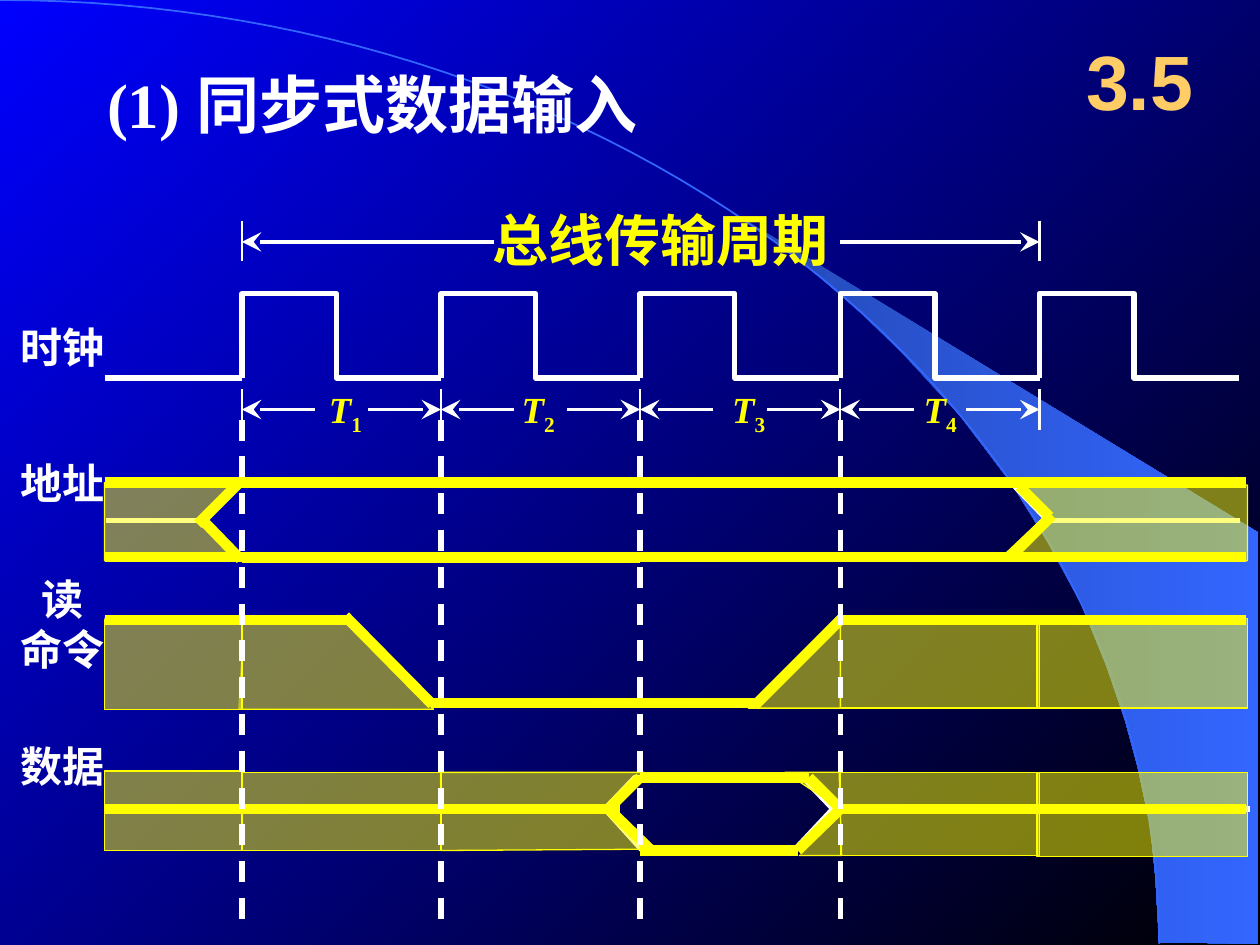
"""Draw the timing chart of a synchronous data input."""
from dataclasses import dataclass, field
from itertools import pairwise
from math import cos, pi, sin

from lxml.etree import SubElement
from pptx import Presentation
from pptx.dml.color import RGBColor
from pptx.enum.dml import MSO_LINE
from pptx.enum.shapes import MSO_CONNECTOR, MSO_SHAPE
from pptx.enum.text import MSO_ANCHOR, PP_ALIGN
from pptx.oxml.ns import qn
from pptx.util import Inches, Pt

WHITE, YELLOW, GOLD, BLUE = "FFFFFF", "FFFF00", "FFCC66", "3366FF"
SERIF, SANS, HAN = "Times New Roman", "Arial", "Noto Sans CJK SC"
TICKS = [1.92, 3.5, 5.08, 6.67, 8.25]
EDGES = [0.83, 1.92, 3.5, 5.08, 6, 6.67, 8.25, 9.89]
Point = tuple[float, float]


@dataclass
class Stroke:
    start: Point
    end: Point
    color: str = WHITE
    width: float = 3
    head: str = ""
    dash: bool = False


@dataclass
class Label:
    box: tuple[float, float, float, float]
    text: str
    size: float
    color: str = WHITE
    font: str = SERIF
    align: PP_ALIGN = PP_ALIGN.LEFT
    anchor: MSO_ANCHOR = MSO_ANCHOR.TOP
    sub: str = ""
    style: dict = field(default_factory=dict)


def paint(target, color: str) -> None:
    target.solid()
    target.fore_color.rgb = RGBColor.from_string(color)


def blend(target, first: str, last: str, angle: float) -> None:
    target.gradient()
    target.gradient_angle = angle
    for stop, color, place in zip(target.gradient_stops, (first, last), (0, 1)):
        stop.color.rgb = RGBColor.from_string(color)
        stop.position = place


def draw(mark: Stroke) -> None:
    ends = [Inches(n) for n in (*mark.start, *mark.end)]
    line = shapes.add_connector(MSO_CONNECTOR.STRAIGHT, *ends)
    paint(line.line.fill, mark.color)
    line.line.width = Pt(mark.width)
    if mark.dash:
        line.line.dash_style = MSO_LINE.DASH
    if mark.head:
        SubElement(line.line._get_or_add_ln(), qn(f"a:{mark.head}"),
                   type="stealth", w="lg", len="lg")
    SubElement(line._element.spPr, qn("a:effectLst"))


def finish(shape, color: str, width: float, filled: bool) -> None:
    shape.shadow.inherit = False
    paint(shape.line.fill, color)
    shape.line.width = Pt(width)
    if filled:
        paint(shape.fill, color)
        tint = shape._element.spPr.find(qn("a:solidFill"))[0]
        SubElement(tint, qn("a:alpha"), val="50000")
    else:
        shape.fill.background()


def trace(points: list[Point], color: str, width: float,
          filled: bool = False, close: bool = False):
    spots = [(Inches(x), Inches(y)) for x, y in points]
    pen = shapes.build_freeform(*spots[0])
    pen.add_line_segments(spots[1:], close=close)
    shape = pen.convert_to_shape()
    finish(shape, color, width, filled)
    return shape


def block(left: float, top: float, right: float, base: float) -> None:
    sides = [Inches(n) for n in (left, top, right - left, base - top)]
    finish(shapes.add_shape(MSO_SHAPE.RECTANGLE, *sides), YELLOW, 0.75, True)


def write(label: Label) -> None:
    frame = shapes.add_textbox(*[Inches(n) for n in label.box]).text_frame
    plain = {"margin_left": 0, "margin_right": 0, "margin_top": 0,
             "margin_bottom": 0, "word_wrap": False,
             "vertical_anchor": label.anchor}
    for key, value in plain.items():
        setattr(frame, key, value)
    for row, text in enumerate(label.text.split("\n")):
        para = frame.add_paragraph() if row else frame.paragraphs[0]
        para.alignment = label.align
        for part in filter(None, (text, label.sub)):
            run = para.add_run()
            run.text = part
            look = {"name": label.font, "size": Pt(label.size), "bold": True,
                    **label.style}
            if part == label.sub:
                look["italic"] = False
                run._r.get_or_add_rPr().set("baseline", "-25000")
            for key, value in look.items():
                setattr(run.font, key, value)
            paint(run.font.fill, label.color)
            SubElement(run._r.get_or_add_rPr(), qn("a:ea"), typeface=HAN)


deck = Presentation()
deck.slide_width, deck.slide_height = Inches(10), Inches(7.5)
slide = deck.slides.add_slide(deck.slide_layouts[6])
shapes = slide.shapes
blend(slide.background.fill, "0000FF", "000000", 315)

wedge = trace([(9.2, 7.48), (9.99, 7.49), (9.99, 4.23), (5.89, 1.73), (6.24, 1.99),
               (6.53, 2.22), (6.85, 2.5), (7.16, 2.8), (7.62, 3.3), (8.03, 3.84),
               (8.32, 4.31), (8.58, 4.79), (8.78, 5.28), (8.93, 5.72), (9.03, 6.09),
               (9.13, 6.56), (9.17, 6.96)], BLUE, 1, close=True)
blend(wedge.fill, "2449B6", BLUE, 0)
wedge.line.fill.background()
turns = [step * pi / 120 for step in range(61)]
trace([(9.2 * sin(turn), 7.49 * (1 - cos(turn))) for turn in turns], BLUE, 1)

for x in TICKS:
    trace([(x, 3), (x, 2.33), (x + 0.75, 2.33), (x + 0.75, 3), (x + 1.58, 3)], WHITE, 3)
    draw(Stroke((x, 3.09), (x, 3.41), width=1.25))
for left, right in pairwise(TICKS):
    draw(Stroke((left, 3.25), (left + 0.58, 3.25), width=2.25, head="headEnd"))
    draw(Stroke((right - 0.58, 3.25), (right, 3.25), width=2.25, head="tailEnd"))
for x in (TICKS[0], TICKS[-1]):
    draw(Stroke((x, 1.75), (x, 2.07), width=1.25))
draw(Stroke((1.92, 1.92), (3.92, 1.92), width=2.25, head="headEnd"))
draw(Stroke((6.67, 1.92), (8.25, 1.92), width=2.25, head="tailEnd"))

trace([(1.91, 3.83), (1.62, 4.13), (1.92, 4.43), (8.02, 4.43), (8.31, 4.13),
       (8.02, 3.83)], WHITE, 2.5, close=True)
trace([(4.8, 6.42), (5.04, 6.17), (6.37, 6.17), (6.61, 6.42), (6.31, 6.74),
       (5.09, 6.74)], WHITE, 3, close=True)
for y, left, right in [(3, 0.83, 1.92), (4.13, 0.84, 1.67), (4.13, 8.33, 9.84),
                       (6.42, 0.83, 4.8), (6.42, 6.61, 9.92)]:
    draw(Stroke((left, y), (right, y)))
trace([(0.83, 4.92), (2.74, 4.92), (3.43, 5.59), (5.99, 5.59), (6.67, 4.92),
       (9.84, 4.92)], WHITE, 3)

for sides in [(0.83, 4.92, 1.92, 5.63), (0.83, 6.12, 1.92, 6.75),
              (1.92, 6.13, 3.5, 6.75), (6.67, 4.92, 8.25, 5.62),
              (6.67, 6.13, 8.25, 6.79), (8.23, 4.91, 9.9, 5.62),
              (8.23, 6.13, 9.9, 6.8)]:
    block(*sides)
for points in [
    [(1.62, 4.17), (1.84, 3.84), (0.83, 3.83), (0.83, 4.45), (1.9, 4.45)],
    [(1.89, 5.63), (3.44, 5.63), (2.76, 4.92), (1.93, 4.94)],
    [(3.49, 6.13), (5.11, 6.13), (4.83, 6.42), (5.11, 6.74), (3.5, 6.75)],
    [(5.94, 5.62), (6.67, 5.62), (6.67, 4.87), (5.94, 5.62)],
    [(6.67, 6.42), (6.23, 6.13), (6.66, 6.13), (6.68, 6.79), (6.34, 6.79)],
    [(8.06, 3.83), (9.9, 3.85), (9.9, 4.45), (7.92, 4.45), (8.31, 4.08)],
]:
    trace(points, YELLOW, 0.75, filled=True)

rails = [(3.83, EDGES), (4.42, EDGES), (4.92, [0.83, 1.92, 2.75]),
         (4.92, EDGES[-3:]), (5.58, [3.42, 5.08, 6]),
         (6.42, [0.83, 1.92, 3.5, 4.92]), (6.42, EDGES[-3:]),
         (6.17, [5.08, 6, 6.42]), (6.75, [5.08, 6, 6.33])]
for y, stops in rails:
    for left, right in pairwise(stops):
        draw(Stroke((left, y), (right, y), YELLOW, 6))
for y in (3.85, 4.45):
    for left, right in pairwise(TICKS[:3]):
        draw(Stroke((left, y), (right, y), YELLOW))
for start, end in [((1.91, 4.44), (1.59, 4.11)), ((1.89, 3.84), (1.57, 4.16)),
                   ((3.43, 5.59), (2.74, 4.89)), ((4.83, 6.42), (5.08, 6.17)),
                   ((4.83, 6.42), (5.17, 6.75)), ((6.69, 4.9), (5.99, 5.6)),
                   ((6.33, 6.75), (6.67, 6.42)), ((6.42, 6.17), (6.67, 6.42)),
                   ((8.35, 4.09), (8.03, 4.41)), ((8.33, 4.1), (8.09, 3.86))]:
    draw(Stroke(start, end, YELLOW, 6))
for x in TICKS[:4]:
    draw(Stroke((x, 3.33), (x, 7.4), dash=True))

write(Label((0.85, 0.52, 4.97, 0.6), "(1) 同步式数据输入", 36))
write(Label((3.91, 1.63, 2.68, 0.53), "总线传输周期", 32, YELLOW, HAN))
for count, x in enumerate((2.61, 4.14, 5.81, 7.33), 1):
    write(Label((x, 3.07, 0.28, 0.35), "T", 21, YELLOW, sub=str(count),
                style={"italic": True}))
for y, text in [(2.55, "时钟"), (3.63, "地址"), (4.55, "读\n命令"), (5.88, "数据")]:
    write(Label((0.12, y, 0.76, 0.4), text, 24, align=PP_ALIGN.CENTER))
write(Label((8.42, 0.17, 1.25, 0.92), "3.5", 44, GOLD, SANS, PP_ALIGN.CENTER,
            MSO_ANCHOR.MIDDLE))
deck.save("out.pptx")
